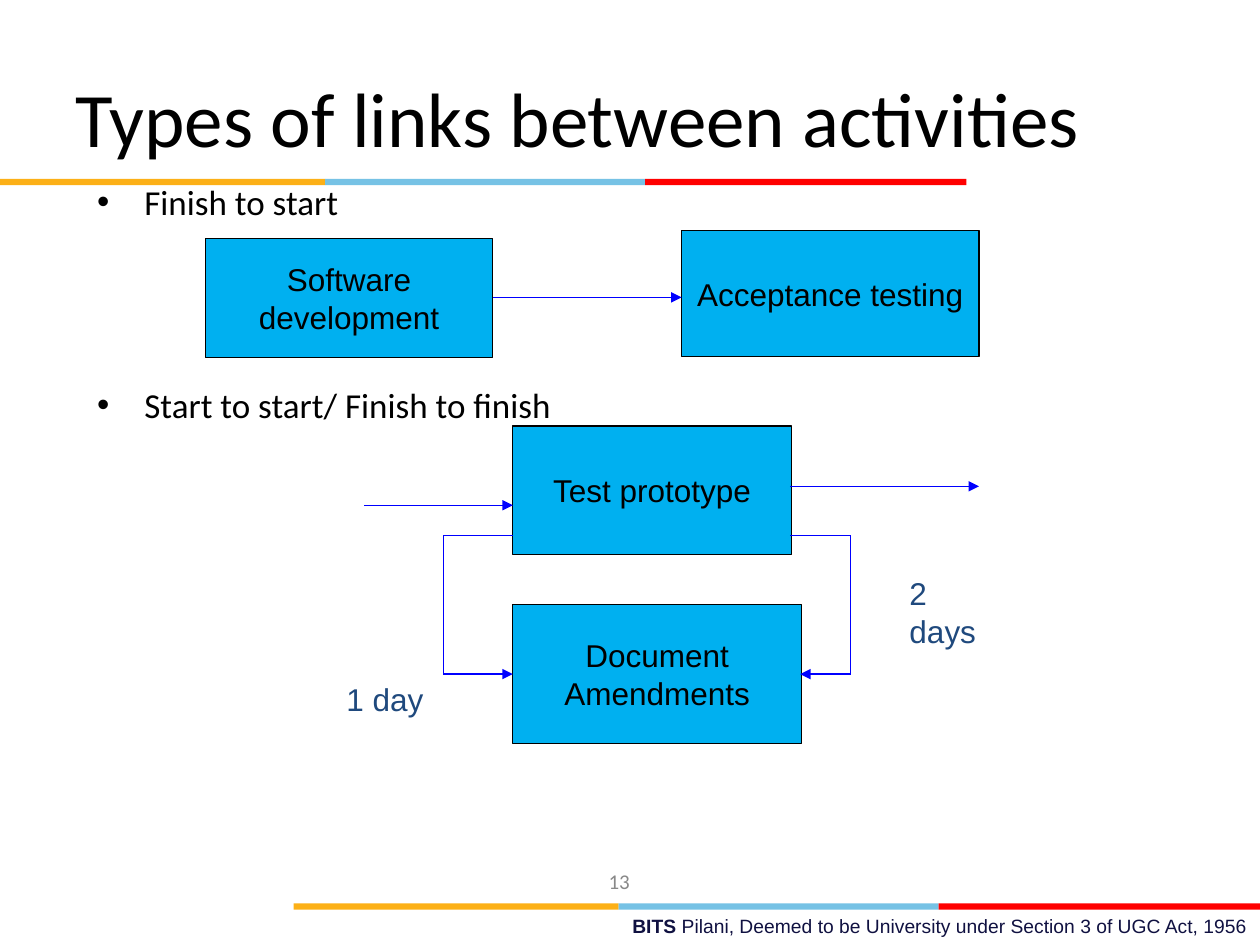
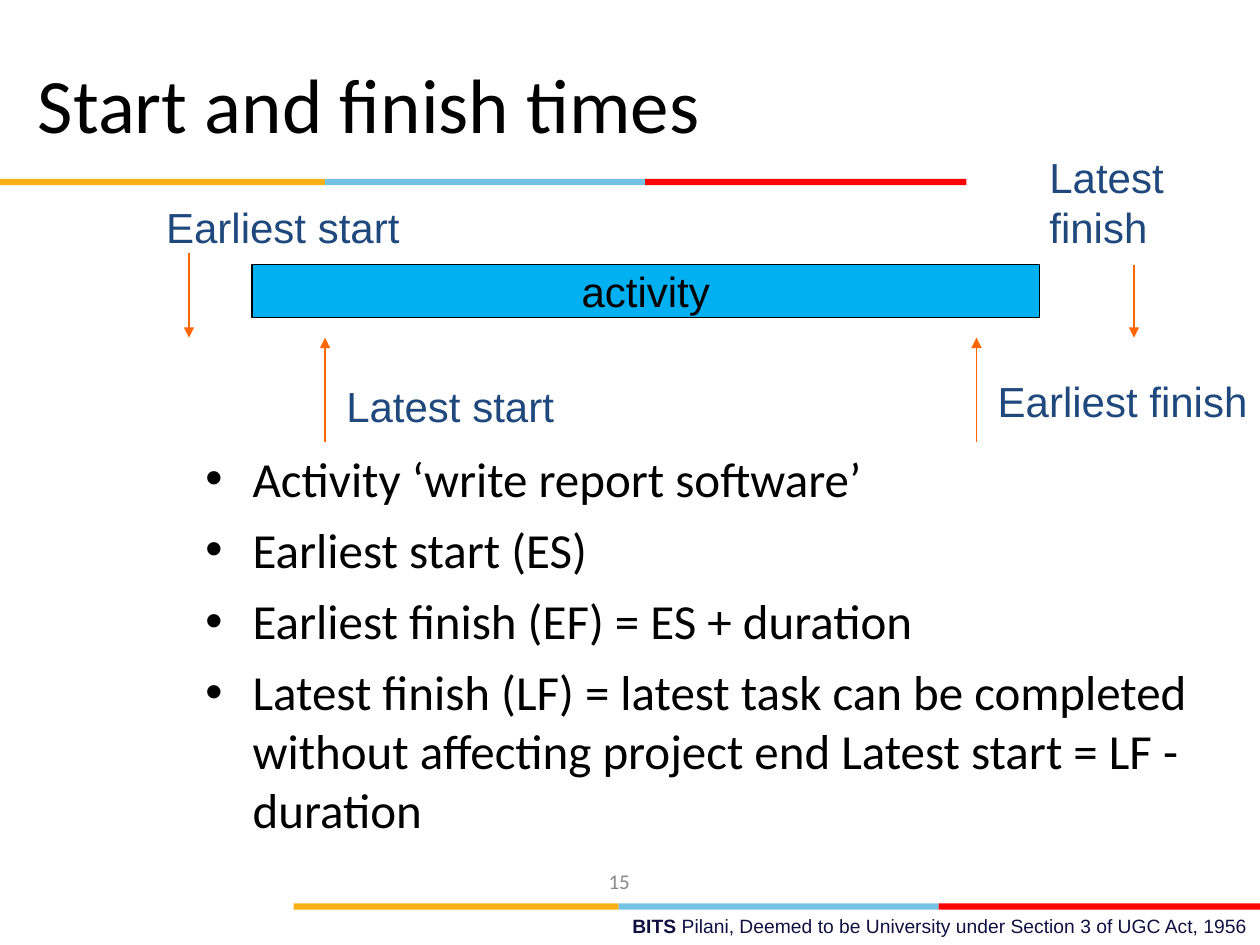
from dataclasses import dataclass
from itertools import accumulate, pairwise

from lxml.etree import SubElement
from pptx import Presentation
from pptx.dml.color import RGBColor
from pptx.enum.shapes import MSO_CONNECTOR, MSO_SHAPE
from pptx.enum.text import MSO_ANCHOR, MSO_AUTO_SIZE, PP_ALIGN
from pptx.oxml.ns import qn
from pptx.util import Inches, Pt


@dataclass(frozen=True)
class Theme:
    """Colours, fonts and type sizes shared by the slides."""
    black: str = "000000"
    gold: str = "FCB017"
    sky: str = "76C2E5"
    red: str = "FF0000"
    activity: str = "00B0F0"
    link: str = "0000FF"
    marker: str = "FF6600"
    label: str = "1F497D"
    number: str = "898989"
    footer: str = "101141"
    heading_font: str = "Calibri"
    diagram_font: str = "Arial"
    title_size: int = 44
    number_size: int = 12
    footer_size: int = 11
    diagram_size: int = 18
    timeline_size: int = 24
    line_width: float = 0.75


THEME = Theme()
COLUMNS, ROWS = 100, 75
CELL = Inches(0.1)
STRIPE_WIDTHS = (25.8, 25.4, 25.5)
STRIPE_HEIGHT = 0.5
FOOTER = (("BITS ", True),
          ("Pilani, Deemed to be University under Section 3 of UGC Act, 1956", False))


def cells(*counts):
    """Convert grid counts to slide lengths."""
    return [round(count * CELL) for count in counts]


def rgb(code):
    """Return the colour for a hex code."""
    return RGBColor.from_string(code)


def style(paragraph, font, size, color, align=None):
    """Format a whole paragraph."""
    paragraph.font.name = font
    paragraph.font.size = Pt(size)
    paragraph.font.color.rgb = rgb(color)
    paragraph.alignment = align


def place(placeholder, area):
    """Move a placeholder to an area of the grid."""
    (placeholder.left, placeholder.top,
     placeholder.width, placeholder.height) = cells(*area)
    placeholder.text_frame.auto_size = MSO_AUTO_SIZE.NONE


def add_title(slide, text, area):
    """Fill and place the title."""
    place(slide.shapes.title, area)
    frame = slide.shapes.title.text_frame
    frame.text = text
    frame.vertical_anchor = MSO_ANCHOR.MIDDLE
    style(frame.paragraphs[0], THEME.heading_font, THEME.title_size,
          THEME.black, PP_ALIGN.LEFT)


def add_bullets(slide, items, area, size, gap):
    """Fill and place the bulleted list."""
    body = slide.placeholders[1]
    place(body, area)
    body.text_frame.text = "\n".join(items)
    for index, paragraph in enumerate(body.text_frame.paragraphs):
        style(paragraph, THEME.heading_font, size, THEME.black)
        paragraph.space_before = Pt(gap if index else 0)


def add_rectangle(slide, area, fill):
    """Draw a flat rectangle without an outline."""
    rectangle = slide.shapes.add_shape(MSO_SHAPE.RECTANGLE, *cells(*area))
    rectangle.shadow.inherit = False
    rectangle.fill.solid()
    rectangle.fill.fore_color.rgb = rgb(fill)
    rectangle.line.fill.background()
    return rectangle


def add_activity(slide, text, area, size=THEME.diagram_size):
    """Draw an outlined activity box with centred text."""
    activity = add_rectangle(slide, area, THEME.activity)
    activity.line.color.rgb = rgb(THEME.black)
    activity.line.width = Pt(THEME.line_width)
    frame = activity.text_frame
    frame.text = text
    frame.word_wrap = False
    frame.vertical_anchor = MSO_ANCHOR.MIDDLE
    for paragraph in frame.paragraphs:
        style(paragraph, THEME.diagram_font, size, THEME.black, PP_ALIGN.CENTER)


def add_label(slide, text, area, size=THEME.diagram_size, font=THEME.diagram_font,
              color=THEME.label, align=PP_ALIGN.LEFT, wrap=False):
    """Write a text label and return its frame."""
    frame = slide.shapes.add_textbox(*cells(*area)).text_frame
    frame.word_wrap = wrap
    frame.text = text
    for paragraph in frame.paragraphs:
        style(paragraph, font, size, color, align)
    return frame


def add_arrow(slide, points, color):
    """Join points with straight lines and put an arrowhead at the last."""
    for start, end in pairwise(points):
        segment = slide.shapes.add_connector(
            MSO_CONNECTOR.STRAIGHT, *cells(*start, *end))
        segment.line.color.rgb = rgb(color)
        segment.line.width = Pt(THEME.line_width)
        properties = segment._element.spPr
        if end == points[-1]:
            SubElement(properties.find(qn("a:ln")), qn("a:tailEnd"), type="triangle")
        SubElement(properties, qn("a:effectLst"))


def add_stripe(slide, left, top):
    """Draw the three-colour stripe."""
    starts = accumulate(STRIPE_WIDTHS, initial=left)
    colors = (THEME.gold, THEME.sky, THEME.red)
    for start, width, color in zip(starts, STRIPE_WIDTHS, colors):
        add_rectangle(slide, (start, top, width, STRIPE_HEIGHT), color)


def add_page(deck, number):
    """Add a slide with its stripes, footer and number."""
    slide = deck.slides.add_slide(deck.slide_layouts[1])
    add_stripe(slide, 0, 14.2)
    add_stripe(slide, COLUMNS - sum(STRIPE_WIDTHS), 71.7)
    footer = add_label(slide, "", (35.8, 72.1, 64.2, 2.9), THEME.footer_size,
                       color=THEME.footer, align=PP_ALIGN.RIGHT, wrap=True)
    for words, bold in FOOTER:
        run = footer.paragraphs[0].add_run()
        run.text = words
        run.font.bold = bold
    page_number = add_label(slide, str(number), (28.3, 67.9, 41.7, 4),
                            THEME.number_size, THEME.heading_font,
                            THEME.number, PP_ALIGN.CENTER, True)
    page_number.vertical_anchor = MSO_ANCHOR.MIDDLE
    return slide


def build_links(deck):
    """Build the slide on links between activities."""
    slide = add_page(deck, 13)
    add_title(slide, "Types of links between activities", (5, 3, 90, 12.5))
    add_bullets(slide, ("Finish to start", "Start to start/ Finish to finish"),
                (6.7, 13.8, 90, 49.5), 20, 92)

    for text, area in (
        ("Software\ndevelopment", (16.3, 18.9, 22.8, 9.5)),
        ("Acceptance testing", (54.1, 18.3, 23.6, 10)),
        ("Test prototype", (40.7, 33.8, 22.1, 10.2)),
        ("Document\nAmendments", (40.7, 48, 22.9, 11)),
    ):
        add_activity(slide, text, area)

    leave, arrive = 42.5, 53.5
    for points in (
        ((39.1, 23.6), (54.1, 23.6)),
        ((28.9, 40.1), (40.7, 40.1)),
        ((62.7, 38.6), (77.7, 38.6)),
        ((40.7, leave), (35.2, leave), (35.2, arrive), (40.7, arrive)),
        ((62.7, leave), (67.5, leave), (67.5, arrive), (63.5, arrive)),
    ):
        add_arrow(slide, points, THEME.link)

    add_label(slide, "1 day", (26.5, 53.5, 8.1, 4))
    add_label(slide, "2 days", (71.2, 45.1, 9.3, 4))


def build_times(deck):
    """Build the slide on start and finish times."""
    slide = add_page(deck, 15)
    add_title(slide, "Start and finish times", (2, 4.4, 85, 7.5))
    add_bullets(slide, (
        "Activity ‘write report software’",
        "Earliest start (ES)",
        "Earliest finish (EF) = ES + duration",
        "Latest finish (LF) = latest task can be completed without affecting "
        "project end Latest start = LF - duration",
    ), (15.3, 35.1, 90, 37.6), 28, 7)

    add_activity(slide, "activity", (20, 21, 62.5, 4.2), THEME.timeline_size)
    tip = 26.8
    for text, area, column, origin in (
        ("Earliest start", (12.2, 15.5, 20.5, 5), 15, 20.1),
        ("Latest start", (26.5, 29.7, 18.5, 5), 25.8, 35.1),
        ("Latest\nfinish", (82.3, 11.5, 11.1, 9), 90, 21),
        ("Earliest finish", (78.2, 29.3, 21.8, 5), 77.5, 35.1),
    ):
        add_label(slide, text, area, THEME.timeline_size)
        add_arrow(slide, ((column, origin), (column, tip)), THEME.marker)


def main():
    """Build and save the presentation."""
    deck = Presentation()
    deck.slide_width, deck.slide_height = cells(COLUMNS, ROWS)
    build_links(deck)
    build_times(deck)
    deck.save("out.pptx")


if __name__ == "__main__":
    main()
